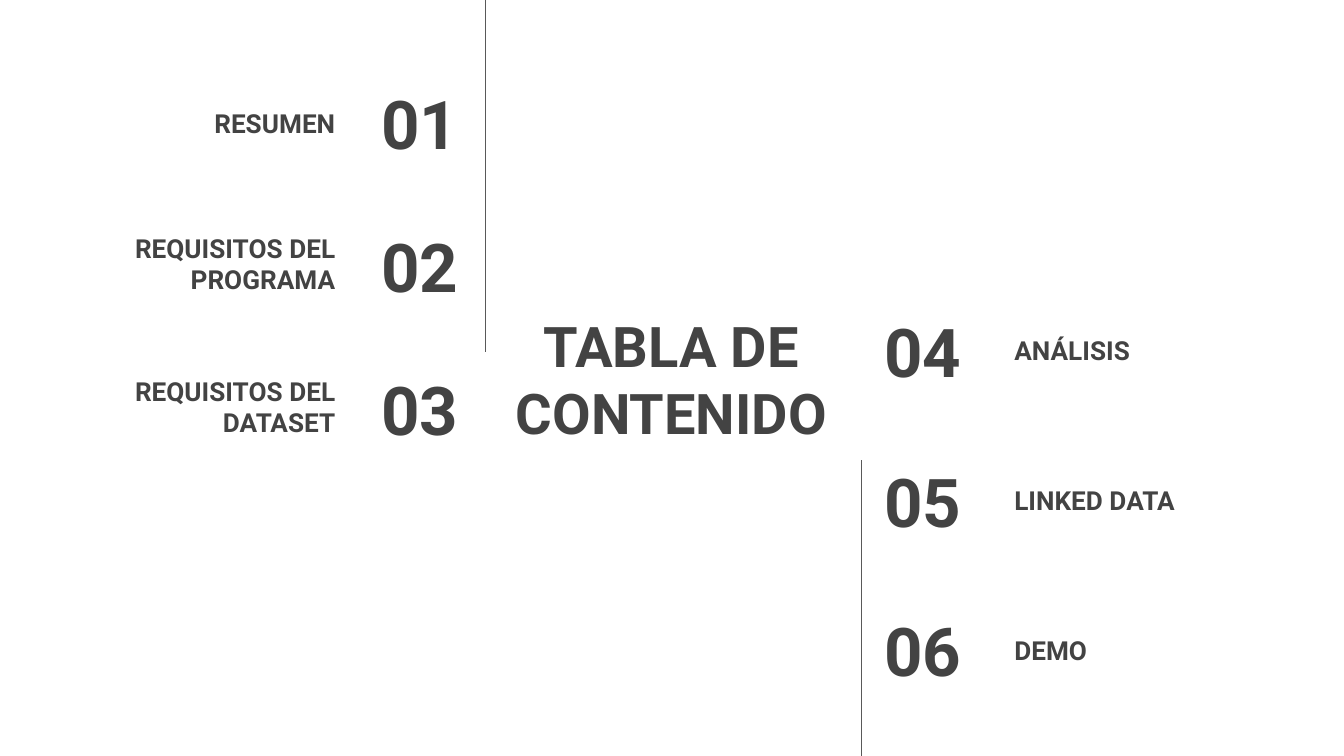
"""Build a table of contents slide with six numbered sections around its title."""
from lxml import etree
from pptx import Presentation
from pptx import util as u
from pptx.dml.color import RGBColor
from pptx.enum import shapes, text
from pptx.oxml.ns import qn


def color(value):
    return RGBColor.from_string(value)


def write(box, bounds, words, size, align, anchor=text.MSO_ANCHOR.MIDDLE):
    box.left, box.top, box.width, box.height = map(u.Cm, bounds)
    frame = box.text_frame
    layout = {"word_wrap": True, "auto_size": text.MSO_AUTO_SIZE.NONE, "vertical_anchor": anchor}
    layout.update({f"margin_{side}": u.Cm(0.25) for side in ("left", "top", "right", "bottom")})
    for name, value in layout.items():
        setattr(frame, name, value)
    para = frame.paragraphs[0]
    para.alignment = align
    span = para.add_run()
    span.text = words
    for name, value in {"name": "Roboto", "size": u.Pt(size), "bold": True}.items():
        setattr(span.font, name, value)
    span.font.color.rgb = color("434343")


deck = Presentation()
deck.slide_width, deck.slide_height = u.Cm(25.4), u.Cm(14.28)
slide = deck.slides.add_slide(deck.slide_layouts[5])
write(slide.shapes.title, (9.4, 5.84, 6.58, 2.62), "TABLA DE CONTENIDO", 30, text.PP_ALIGN.CENTER)

columns = [
    {"labels": ["RESUMEN", "REQUISITOS DEL PROGRAMA", "REQUISITOS DEL DATASET"],
     "first": 1, "top": 1.52, "pitch": 2.7, "number_left": 5.84, "number_width": 3.07,
     "label_left": 1.1, "align": text.PP_ALIGN.RIGHT},
    {"labels": ["ANÁLISIS", "LINKED DATA", "DEMO"],
     "first": 4, "top": 5.82, "pitch": 2.83, "number_left": 16.46, "number_width": 2.97,
     "label_left": 18.92, "align": text.PP_ALIGN.LEFT},
]
row_height = 1.6
label_width = 5.49
for column in columns:
    for row, label in enumerate(column["labels"]):
        top = column["top"] + row * column["pitch"]
        anchor = text.MSO_ANCHOR.BOTTOM if label.startswith("REQUISITOS") else text.MSO_ANCHOR.MIDDLE
        number_bounds = (column["number_left"], top, column["number_width"], row_height)
        label_bounds = (column["label_left"], top, label_width, row_height)
        number = f"{column['first'] + row:02d}"
        for bounds, words, size, place in (
            (number_bounds, number, 36, text.MSO_ANCHOR.MIDDLE),
            (label_bounds, label, 14, anchor),
        ):
            box = slide.shapes.add_textbox(0, 0, 0, 0)
            write(box, bounds, words, size, column["align"], place)

for x, start, end in ((9.17, 0, 6.65), (16.28, 8.69, 14.28)):
    divider = slide.shapes.add_connector(
        shapes.MSO_CONNECTOR.STRAIGHT, u.Cm(x), u.Cm(start), u.Cm(x), u.Cm(end))
    divider.line.color.rgb = color("595959")
    divider.line.width = u.Pt(0.75)
    etree.SubElement(divider._element.spPr, qn("a:effectLst"))

deck.save("out.pptx")
